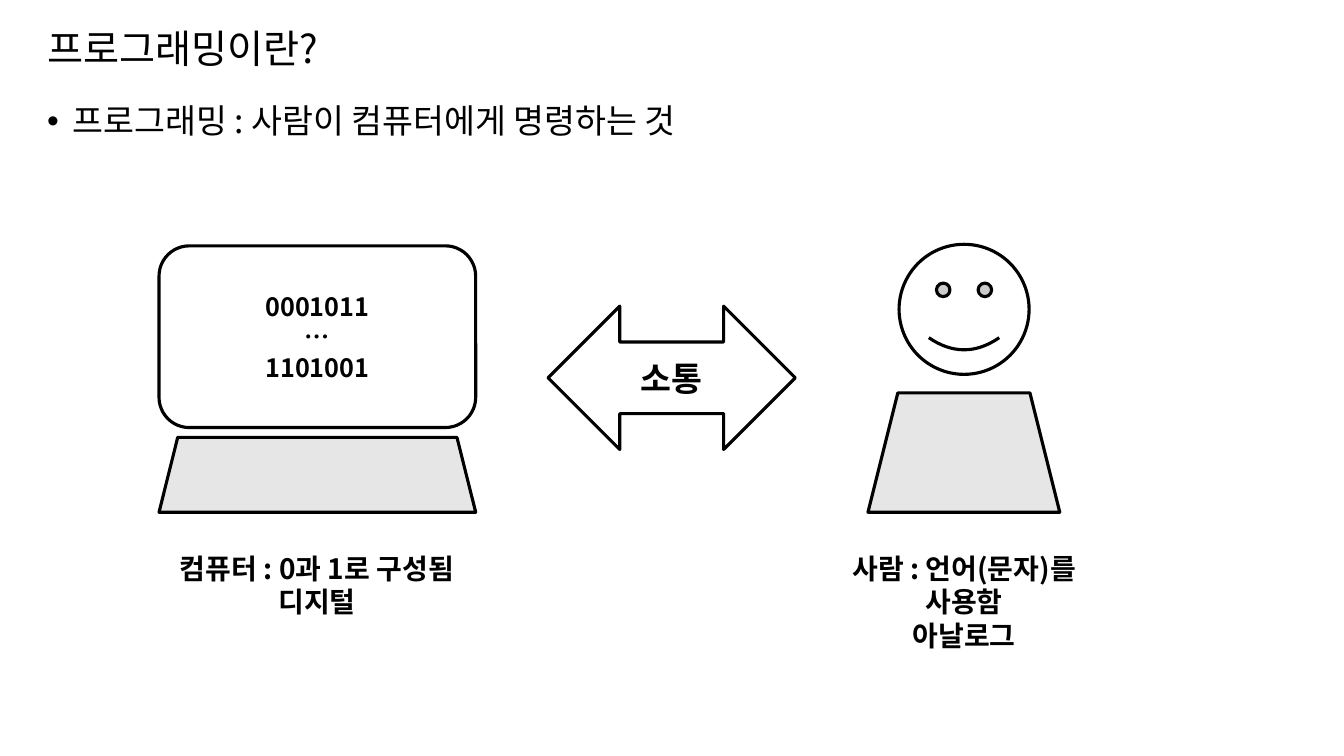
from dataclasses import dataclass

from lxml.etree import SubElement
from pptx import Presentation
from pptx.dml.color import RGBColor
from pptx.enum.shapes import MSO_SHAPE
from pptx.enum.text import MSO_ANCHOR, PP_ALIGN
from pptx.oxml.ns import qn
from pptx.slide import Slide
from pptx.text.text import TextFrame
from pptx.util import Pt

FONT = "Noto Sans CJK KR"
COLORS = {"ink": "000000", "paper": "FFFFFF", "gray": "E7E6E6"}


@dataclass(frozen=True)
class Area:
    left: float
    top: float
    width: float
    height: float

    def lengths(self) -> tuple[Pt, Pt, Pt, Pt]:
        return Pt(self.left), Pt(self.top), Pt(self.width), Pt(self.height)


@dataclass(frozen=True)
class Figure:
    kind: MSO_SHAPE
    area: Area
    fill: str
    lines: tuple[str, ...] = ()
    size: float = 18


@dataclass(frozen=True)
class Caption:
    area: Area
    lines: tuple[str, ...]


TITLE_AREA = Area(26.64, 15.12, 907.2, 42.48)
BODY_AREA = Area(26.64, 71.28, 907.2, 425.5)

FIGURES = (
    Figure(MSO_SHAPE.LEFT_RIGHT_ARROW, Area(391.5, 218.7, 176.6, 102.4), "paper", ("소통",), 24),
    Figure(MSO_SHAPE.ROUNDED_RECTANGLE, Area(113.6, 175.6, 226.2, 129.8), "paper",
           ("0001011", "…", "1101001")),
    Figure(MSO_SHAPE.TRAPEZOID, Area(113.6, 312.4, 226.2, 53.5), "gray"),
    Figure(MSO_SHAPE.SMILEY_FACE, Area(642.2, 174.5, 92.9, 92.9), "paper"),
    Figure(MSO_SHAPE.TRAPEZOID, Area(620, 280.7, 137, 85.2), "gray"),
)

CAPTIONS = (
    Caption(Area(120.2, 390.2, 212.4, 55.4), ("컴퓨터 : 0과 1로 구성됨", "디지털")),
    Caption(Area(572.4, 390.2, 232.6, 55.4), ("사람 : 언어(문자)를 사용함", "아날로그")),
)


def color(name: str) -> RGBColor:
    return RGBColor.from_string(COLORS[name])


def write(frame: TextFrame, lines: tuple[str, ...], size: float, bold: bool,
          align: PP_ALIGN) -> None:
    """Write one paragraph per line, with the font set for Latin and Korean."""
    frame.word_wrap = True
    for index, line in enumerate(lines):
        para = frame.paragraphs[0] if index == 0 else frame.add_paragraph()
        para.alignment = align
        span = para.add_run()
        span.text = line
        span.font.size = Pt(size)
        span.font.bold = bold
        span.font.name = FONT
        span.font.color.rgb = color("ink")
        SubElement(span.font._element, qn("a:ea"), typeface=FONT)


def add_title(page: Slide, text: str) -> None:
    title = page.shapes.title
    title.left, title.top, title.width, title.height = TITLE_AREA.lengths()
    frame = title.text_frame
    frame.vertical_anchor = MSO_ANCHOR.MIDDLE
    write(frame, (text,), 28, False, PP_ALIGN.LEFT)
    frame.paragraphs[0].line_spacing = 0.9


def add_bullet_text(page: Slide, text: str) -> None:
    frame = page.shapes.add_textbox(*BODY_AREA.lengths()).text_frame
    write(frame, (text,), 24, False, PP_ALIGN.LEFT)
    para = frame.paragraphs[0]
    para.line_spacing = 0.9
    para.space_before = Pt(10)
    properties = para._p.get_or_add_pPr()
    properties.set("marL", str(Pt(18)))
    properties.set("indent", str(Pt(-18)))
    SubElement(properties, qn("a:buFont"), typeface="Arial")
    SubElement(properties, qn("a:buChar"), char="•")


def add_figure(page: Slide, figure: Figure) -> None:
    shape = page.shapes.add_shape(figure.kind, *figure.area.lengths())
    shape.shadow.inherit = False
    shape.fill.solid()
    shape.fill.fore_color.rgb = color(figure.fill)
    shape.line.color.rgb = color("ink")
    shape.line.width = Pt(2.25)
    shape.text_frame.vertical_anchor = MSO_ANCHOR.MIDDLE
    write(shape.text_frame, figure.lines, figure.size, True, PP_ALIGN.CENTER)


def add_caption(page: Slide, caption: Caption) -> None:
    box = page.shapes.add_textbox(*caption.area.lengths())
    write(box.text_frame, caption.lines, 20, True, PP_ALIGN.CENTER)


def main() -> None:
    deck = Presentation()
    deck.slide_width, deck.slide_height = Pt(960), Pt(540)
    page = deck.slides.add_slide(deck.slide_layouts[5])
    add_title(page, "프로그래밍이란?")
    add_bullet_text(page, "프로그래밍 : 사람이 컴퓨터에게 명령하는 것")
    for figure in FIGURES:
        add_figure(page, figure)
    for caption in CAPTIONS:
        add_caption(page, caption)
    deck.save("out.pptx")


if __name__ == "__main__":
    main()
